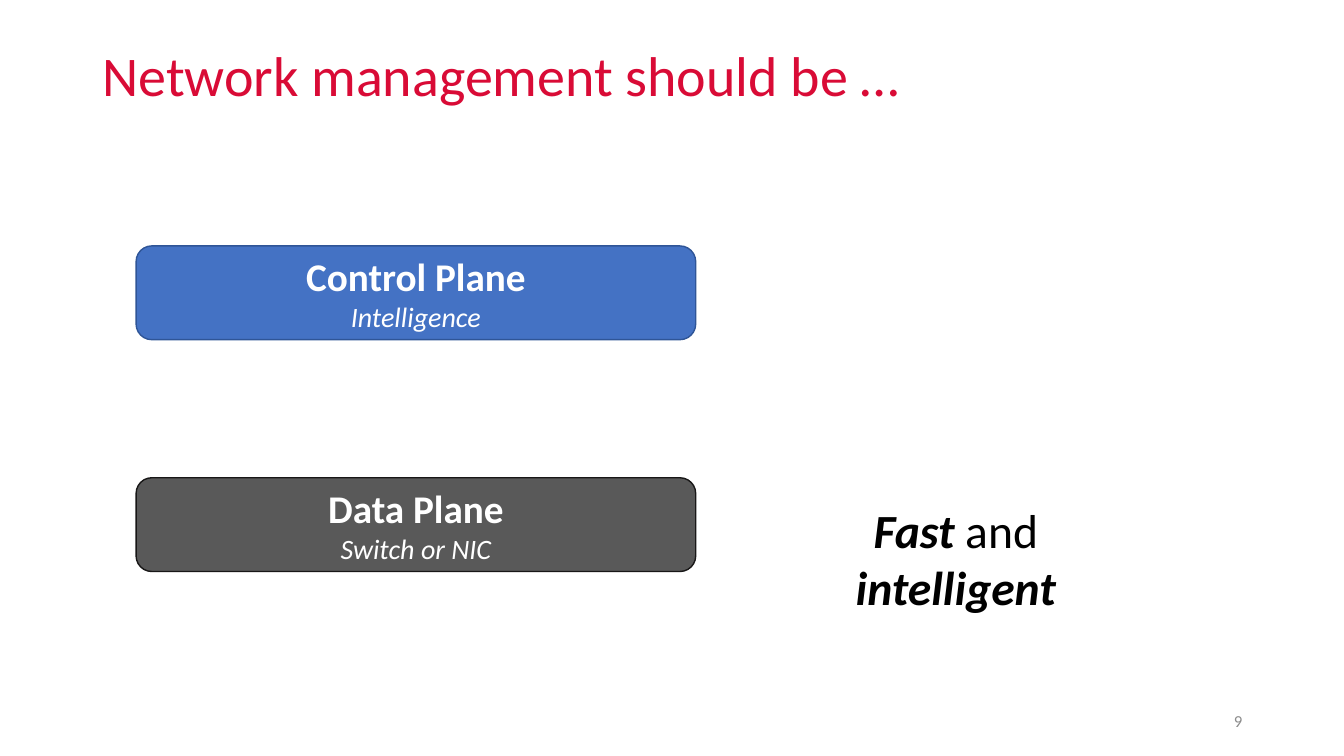
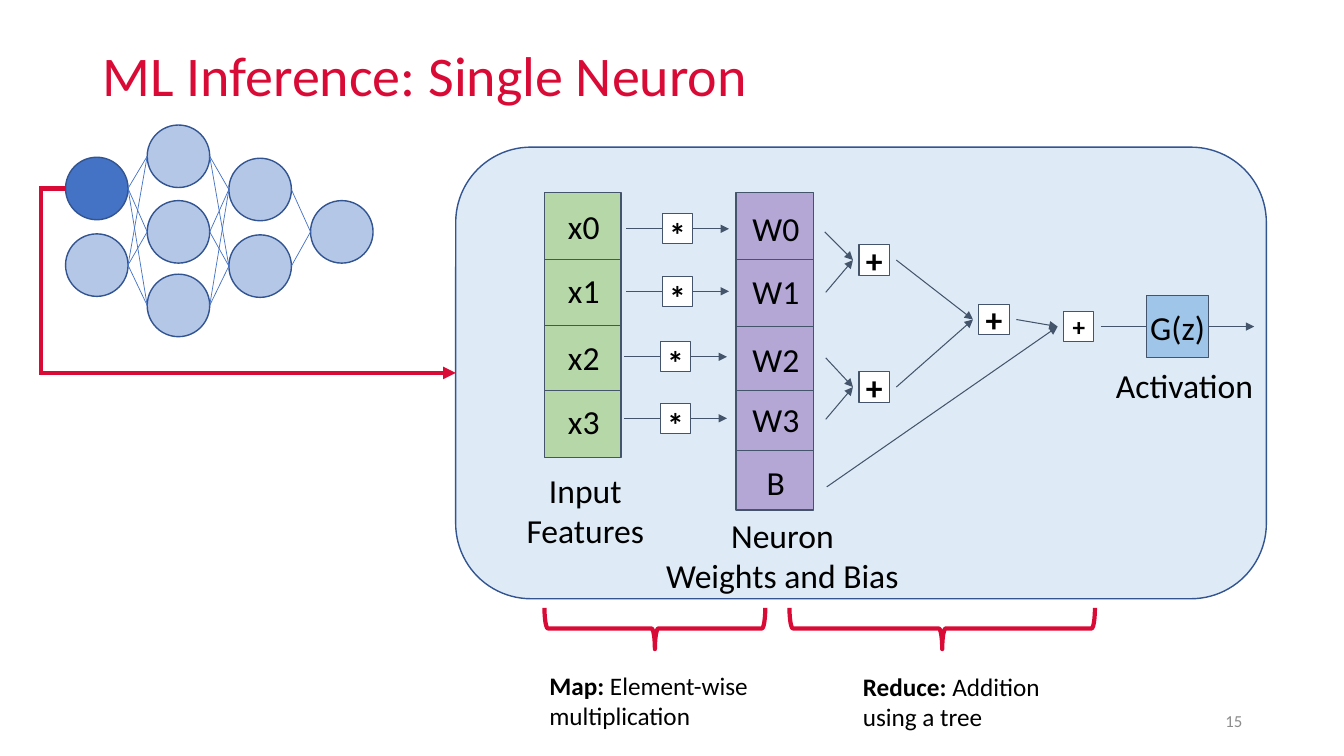
import pptx
import pptx.util
import pptx.dml.color
import pptx.enum.shapes
import pptx.enum.text
import pptx.oxml
import pptx.oxml.ns

SHAPE = pptx.enum.shapes.MSO_SHAPE
ALIGN = pptx.enum.text.PP_ALIGN
ANCHOR = pptx.enum.text.MSO_ANCHOR

# Shared style: 100 px to the inch
PX = 9144
FONT = "Calibri"
RED, BLUE, NAVY, SLATE = "D90B36", "4472C4", "325491", "44546A"
BLACK, WHITE, GREY = "000000", "FFFFFF", "8C8C8C"
TITLE_BOX, NUMBER_BOX = (92, 40, 1150, 75), (942, 695, 300, 40)
BOLD, ITALIC, BOTH = {"bold": True}, {"italic": True}, {"bold": True, "italic": True}

# Content of the planes slide: left, top, width, height, fill, line, lines of text
PLANES = [
    ((135, 244, 555, 93), BLUE, "2F5597", "Control Plane", "Intelligence"),
    ((135, 474, 555, 93), "595959", "181717", "Data Plane", "Switch or NIC"),
]
CLAIM_BOX = (760, 492, 376, 125)
CLAIM = [[("Fast", BOTH), (" and", {})], [("intelligent", BOTH)]]

# Content of the neuron slide
PANEL = (452, 146, 804, 448)
# Column box, fill, divider heights, labels with their middle heights
COLUMNS = [
    ((540, 191, 76, 263), "B6D7A8", (257, 323, 387),
     [("x0", 224), ("x1", 288), ("x2", 354), ("x3", 418)]),
    ((730, 191, 77, 315), "B4A7D6", (257, 324, 387, 447),
     [("W0", 226), ("W1", 289), ("W2", 356), ("W3", 416), ("B", 478)]),
]
PRODUCTS = [(672, 227), (672, 289), (670, 354), (670, 415)]
# Adder: centre, text size, where its arrows start (a point or another adder)
ADDERS = {
    "upper": ((867, 258), 24, [(818, 230), (819, 290)]),
    "lower": ((867, 384), 24, [(819, 355), (819, 416)]),
    "sum": ((986, 317), 24, ["upper", "lower"]),
    "bias": ((1070, 324), 18, ["sum", (820, 483)]),
}
ACTIVATION_BOX, OUTPUT_X = (1137, 293, 62, 62), 1244
CAPTIONS = [
    ((489, 461, 183, 92), ["Input", "Features"], ALIGN.CENTER),
    ((621, 506, 310, 92), ["Neuron", "Weights and Bias"], ALIGN.CENTER),
    ((1097, 357, 191, 51), ["Activation"], ALIGN.LEFT),
]
# Brace left, right, then its note
BRACE_TOP, BRACE_DEPTH = 603, 41
STEPS = [
    (540, 759, (535, 660, 230, 71), "Map: ", "Element-wise", "multiplication"),
    (783, 1086, (846, 661, 203, 71), "Reduce: ", "Addition", "using a tree"),
]
LAYERS = [(187, 263), (155, 230, 303), (188, 264), (230,)]
LAYER_X, LAYER_STEP, NEURON = 96, 81, 62
LOOP_X = 41


def rgb(value):
    return pptx.dml.color.RGBColor.from_string(value)


def emu(*lengths):
    return [round(v * PX) for v in lengths]


def write(sp, paras, size, color=BLACK, align=ALIGN.CENTER, anchor=ANCHOR.MIDDLE,
          inset=(10, 5, 10, 5), spacing=None):
    """Fill a shape with paragraphs, each a list of (text, format) runs."""
    tf = sp.text_frame
    left, top, right, bottom = emu(*inset)
    frame = {"word_wrap": True, "vertical_anchor": anchor, "margin_left": left,
             "margin_top": top, "margin_right": right, "margin_bottom": bottom}
    for name, value in frame.items():
        setattr(tf, name, value)
    for i, runs in enumerate(paras):
        p = tf.add_paragraph() if i else tf.paragraphs[0]
        p.alignment, p.line_spacing = align, spacing
        for text, fmt in runs:
            r = p.add_run()
            r.text = text
            base = {"name": FONT, "size": pptx.util.Pt(size)}
            for name, value in {**base, **fmt}.items():
                setattr(r.font, name, value)
            r.font.color.rgb = rgb(color)


def text(s, box, paras, size, **style):
    write(s.shapes.add_textbox(*emu(*box)), paras, size, **style)


def shape(s, kind, box, fill, line, width=1):
    sp = s.shapes.add_shape(kind, *emu(*box))
    sp.shadow.inherit = False
    if fill:
        sp.fill.solid()
        sp.fill.fore_color.rgb = rgb(fill)
    else:
        sp.fill.background()
    sp.line.color.rgb = rgb(line)
    sp.line.width = pptx.util.Pt(width)
    return sp


def connect(s, start, end, color=SLATE, width=0.75, arrow=False):
    c = s.shapes.add_connector(pptx.enum.shapes.MSO_CONNECTOR.STRAIGHT, *emu(*start, *end))
    c.line.color.rgb = rgb(color)
    c.line.width = pptx.util.Pt(width)
    if arrow:
        ln = c.line._get_or_add_ln()
        tail = pptx.oxml.parse_xml(
            f'<a:tailEnd {pptx.oxml.ns.nsdecls("a")} type="triangle"/>')
        ln.append(tail)
    c._element.spPr.append(
        pptx.oxml.parse_xml(f'<a:effectLst {pptx.oxml.ns.nsdecls("a")}/>'))
    return c


def square(center, size):
    return center[0] - size // 2, center[1] - size // 2, size, size


def operator(s, center, sign, size, drop=0):
    """White box with a sign, lowered by drop as a top inset."""
    sp = shape(s, SHAPE.RECTANGLE, square(center, 30), WHITE, SLATE, 0.75)
    write(sp, [[(sign, BOLD)]], size, inset=(0, drop, 0, 0))


def new_slide(prs, title, number):
    s = prs.slides.add_slide(prs.slide_layouts[6])
    text(s, TITLE_BOX, [[(title, {})]], 40, color=RED, align=ALIGN.LEFT, spacing=0.9)
    text(s, NUMBER_BOX, [[(number, {})]], 12, color=GREY, align=ALIGN.RIGHT)
    return s


def planes_slide(prs):
    s = new_slide(prs, "Network management should be …", "9")
    for box, fill, line, name, role in PLANES:
        sp = shape(s, SHAPE.ROUNDED_RECTANGLE, box, fill, line)
        small = {**ITALIC, "size": pptx.util.Pt(20)}
        write(sp, [[(name, BOLD)], [(role, small)]], 28, color=WHITE)
    text(s, CLAIM_BOX, CLAIM, 34, anchor=ANCHOR.TOP)


def draw_columns(s):
    for (x, y, w, h), fill, dividers, labels in COLUMNS:
        shape(s, SHAPE.RECTANGLE, (x, y, w, h), fill, SLATE, 0.75)
        for divider in dividers:
            connect(s, (x, divider), (x + w, divider))
        for label, middle in labels:
            text(s, (x, middle - 21, w + 2, 42), [[(label, {})]], 24, inset=(0, 0, 0, 0))


def draw_arithmetic(s):
    for x, y in PRODUCTS:
        connect(s, (x - 51, y), (x + 51, y), arrow=True)
        operator(s, (x, y), "*", 24, drop=11)
    for (x, y), size, sources in ADDERS.values():
        operator(s, (x, y), "+", size)
        for source in sources:
            if source in ADDERS:
                cx, cy = ADDERS[source][0]
                source = (cx + 22, cy)
            connect(s, source, (x - 21, y), arrow=True)
    x, y = ADDERS["bias"][0]
    connect(s, (x + 22, y), (OUTPUT_X, y), arrow=True)
    sp = shape(s, SHAPE.RECTANGLE, ACTIVATION_BOX, "9FC5E8", SLATE, 0.75)
    write(sp, [[("G(z)", {})]], 24, inset=(0, 0, 0, 0))


def draw_steps(s):
    for left, right, box, name, first, second in STEPS:
        # A right brace turned a quarter, so width and height swap around its centre
        span = right - left
        cx, cy = (left + right) / 2, BRACE_TOP + BRACE_DEPTH / 2
        brace = (cx - BRACE_DEPTH / 2, cy - span / 2, BRACE_DEPTH, span)
        shape(s, SHAPE.RIGHT_BRACE, brace, None, RED, 3).rotation = 90
        text(s, box, [[(name, BOLD), (first, {})], [(second, {})]], 18,
             align=ALIGN.LEFT, anchor=ANCHOR.TOP)


def draw_network(s):
    layers = [[(LAYER_X + i * LAYER_STEP, y) for y in ys] for i, ys in enumerate(LAYERS)]
    for layer in layers:
        for center in layer:
            fill = BLUE if center == layers[0][0] else "B4C7E7"
            shape(s, SHAPE.OVAL, square(center, NEURON), fill, NAVY)
    for before, after in zip(layers, layers[1:]):
        for x1, y1 in before:
            for x2, y2 in after:
                connect(s, (x1 + NEURON // 2, y1), (x2 - NEURON // 2, y2), BLUE, 0.5)


def neuron_slide(prs):
    s = new_slide(prs, "ML Inference: Single Neuron", "15")
    panel = shape(s, SHAPE.ROUNDED_RECTANGLE, PANEL, "DEEBF7", NAVY)
    draw_columns(s)
    draw_arithmetic(s)
    for box, lines, align in CAPTIONS:
        text(s, box, [[(line, {})] for line in lines], 24, align=align, anchor=ANCHOR.TOP)
    draw_steps(s)
    draw_network(s)

    # Red path from the first neuron to the panel
    x, y = LAYER_X - NEURON // 2, LAYERS[0][0]
    middle = PANEL[1] + PANEL[3] // 2
    connect(s, (x, y), (LOOP_X - 2, y), RED, 3)
    connect(s, (LOOP_X, y), (LOOP_X, middle), RED, 3)
    arrow = connect(s, (LOOP_X - 2, middle), (PANEL[0], middle), RED, 3, arrow=True)
    arrow.end_connect(panel, 1)


def main():
    prs = pptx.Presentation()
    prs.slide_width, prs.slide_height = emu(1333, 750)
    planes_slide(prs)
    neuron_slide(prs)
    prs.save("out.pptx")


if __name__ == "__main__":
    main()
